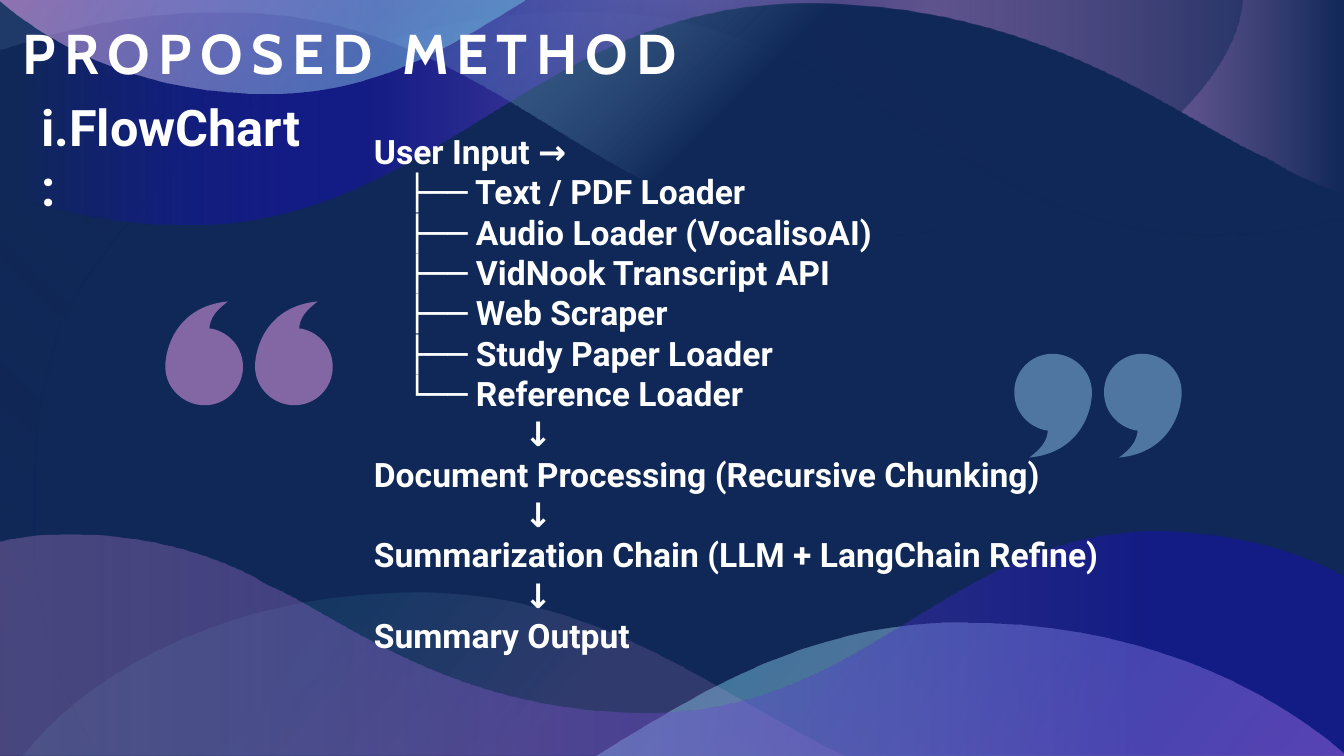
from dataclasses import dataclass

from lxml.etree import SubElement
from pptx import Presentation
from pptx.dml.color import RGBColor
from pptx.enum.text import MSO_ANCHOR, MSO_AUTO_SIZE, PP_ALIGN
from pptx.oxml.ns import qn
from pptx.util import Inches, Pt


@dataclass(frozen=True)
class Theme:
    navy: str = "102857"
    pink: str = "F6A6F4"
    cyan: str = "64DFED"
    sky: str = "92CDF0"
    blue: str = "180DC2"
    white: str = "FFFFFF"
    title_font: str = "Cabin"
    body_font: str = "Roboto"
    title_size: int = 40
    heading_size: int = 36
    body_size: int = 24


THEME = Theme()

BOTTOM_RIGHT_WAVE = [
    (9.52, 6.18), (11.2, 6.17, 12.52, 6.77, 13.34, 7.48), (13.36, 7.5), (5.9, 7.5),
    (6.26, 7.28), (7.22, 6.7, 8.21, 6.19, 9.52, 6.18),
]
TOP_VEIL = [
    (8.42, 2.34), (10.7, 2.35, 12.14, 0.99, 12.3, 0.13), (12.32, 0), (0, 0), (0, 0.5),
    (0.23, 0.43), (0.83, 0.24, 1.53, 0.11, 2.34, 0.13), (4.94, 0.17, 5.99, 2.33, 8.42, 2.34),
]
FRAME_VEIL = [
    (-0.02, 0), (13.34, 0), (13.34, 2.17), (13.16, 2.21), (12.8, 2.3, 12.4, 2.34, 11.97, 2.34),
    (9.54, 2.33, 8.49, 0.17, 5.9, 0.13), (5.29, 0.12, 4.75, 0.18, 4.26, 0.3), (4.05, 0.35),
    (3.29, 0.58, 2.55, 0.92, 1.85, 1.59), (1.39, 2.04, 1.03, 2.5, 0.75, 2.95),
    (0.62, 3.21, 0.57, 3.3, 0.51, 3.58), (0.45, 3.83, 0.39, 3.98, 0.37, 4.36), (0.35, 4.7),
    (0.35, 5.52), (0.4, 6.2, 0.6, 6.77, 0.86, 7.29), (0.97, 7.5), (-0.02, 7.5),
    (-0.02, 3.06), (-0.03, 3.06), (-0.03, 2.21), (-0.02, 2.21),
]
BOTTOM_LEFT_HILL = [
    (4.18, 5.88), (5.85, 5.89, 6.93, 6.75, 8.2, 7.41), (8.39, 7.5), (0.22, 7.5),
    (0.34, 7.36), (0.99, 6.62, 2.34, 5.87, 4.18, 5.88),
]
BOTTOM_WAVE = [
    (11.43, 5.27), (12.17, 5.27, 12.8, 5.44, 13.29, 5.7), (13.34, 5.73), (13.34, 7.5),
    (-0.03, 7.5), (-0.03, 5.38), (0.05, 5.36), (0.24, 5.32, 0.44, 5.3, 0.66, 5.3),
    (1.4, 5.29, 2.03, 5.47, 2.52, 5.72), (2.65, 5.8), (2.7, 5.82),
    (3.38, 6.12, 4.53, 7.1, 6.5, 7.07), (8.6, 7.03, 9.45, 5.28, 11.43, 5.27),
]
TOP_WAVE = [
    (0, 0), (13.33, 0), (13.33, 1.92), (13.24, 1.89), (13.06, 1.83, 12.9, 1.76, 12.75, 1.68),
    (12.6, 1.59), (12.54, 1.56), (11.71, 1.2, 10.3, 0, 7.9, 0.04),
    (5.34, 0.08, 4.3, 2.21, 1.9, 2.23), (1.22, 2.23, 0.62, 2.11, 0.11, 1.92), (0, 1.88),
]
TOP_LEFT_HILL = [
    (2.68, 0.93), (1.5, 0.93, 0.59, 0.52, 0.01, 0.02), (0, 0.01), (5.2, 0.01),
    (4.95, 0.16), (4.28, 0.57, 3.59, 0.92, 2.68, 0.93),
]
QUOTE_MARK = [
    (0.38, 0), (0.59, 0, 0.77, 0.17, 0.77, 0.38), (0.77, 0.39),
    (0.77, 0.56, 0.66, 0.98, 0.15, 1.03), (0.21, 0.98, 0.31, 0.91, 0.33, 0.79),
    (0.33, 0.76), (0.31, 0.76), (0.13, 0.72, 0, 0.57, 0, 0.38), (0, 0.17, 0.17, 0, 0.38, 0),
]
VEIL_STOPS = [(43, THEME.navy, 50), (73, THEME.sky, 11)]
GLOW_STOPS = [(0, THEME.cyan, 43), (100, THEME.pink, 53)]

WAVES = [
    (BOTTOM_RIGHT_WAVE, GLOW_STOPS, {"angle": 40}),
    (TOP_VEIL, VEIL_STOPS, {"focus": (100, 100, 0, 0)}),
    (FRAME_VEIL, [(0, THEME.navy, 60), (77, THEME.navy, 29)], {"focus": (0, 100, 100, 0)}),
    (BOTTOM_LEFT_HILL, [(33, THEME.pink, 14), (66, THEME.cyan, 8)], {"angle": 220}),
    (BOTTOM_WAVE, [(0, THEME.pink, 24), (85, THEME.blue, 42)], {"angle": 0}),
    (TOP_WAVE, [(0, THEME.navy, 100), (31, THEME.pink, 69), (73, THEME.blue, 42),
                (99, THEME.navy, 100)], {"angle": 180}),
    (TOP_VEIL, VEIL_STOPS, {"focus": (100, 100, 0, 0)}),
    (TOP_LEFT_HILL, GLOW_STOPS, {"angle": 220}),
]

LOADERS = [
    "Text / PDF Loader", "Audio Loader (VocalisoAI)", "VidNook Transcript API",
    "Web Scraper", "Study Paper Loader", "Reference Loader",
]
STAGES = [
    "Document Processing (Recursive Chunking)",
    "Summarization Chain (LLM + LangChain Refine)",
    "Summary Output",
]
BRANCH_INDENT = 0.33
ARROW_INDENT = 1.49


def add_outline(slide, outline, left=0, top=0):
    segments = [tuple(map(Inches, segment)) for segment in outline]
    anchors = [segment[-2:] for segment in segments]
    builder = slide.shapes.build_freeform(*anchors[0])
    builder.add_line_segments(anchors[1:], close=True)
    sp = builder.convert_to_shape(Inches(left), Inches(top))
    bend_segments(sp, segments, min(x for x, y in anchors), min(y for x, y in anchors))
    sp.shadow.inherit = False
    sp.line.fill.background()
    return sp


def bend_segments(sp, segments, left, top):
    track = next(sp.element.spPr.iter(qn("a:path")))
    for line, segment in zip(track.findall(qn("a:lnTo")), segments[1:]):
        if len(segment) == 2:
            continue
        curve = SubElement(track, qn("a:cubicBezTo"))
        for x, y in zip(segment[::2], segment[1::2]):
            SubElement(curve, qn("a:pt"), x=str(x - left), y=str(y - top))
        track.replace(line, curve)


def add_color(parent, color, opacity):
    clr = SubElement(parent, qn("a:srgbClr"), val=color)
    SubElement(clr, qn("a:alpha"), val=str(opacity * 1000))


def add_wave(slide, outline, stops, angle=0, focus=None):
    sp = add_outline(slide, outline)
    sp.fill.gradient()
    grad = sp.element.spPr.find(qn("a:gradFill"))
    for child in list(grad):
        grad.remove(child)
    stop_list = SubElement(grad, qn("a:gsLst"))
    for position, color, opacity in stops:
        stop = SubElement(stop_list, qn("a:gs"), pos=str(position * 1000))
        add_color(stop, color, opacity)
    if focus:
        circle = SubElement(grad, qn("a:path"), path="circle")
        sides = {side: str(value * 1000) for side, value in zip("ltrb", focus)}
        SubElement(circle, qn("a:fillToRect"), **sides)
    else:
        SubElement(grad, qn("a:lin"), ang=str(angle * 60000), scaled="0")


def add_quote(slide, left, top, color, opacity, rotation=0):
    for offset in (0, 0.89):
        sp = add_outline(slide, QUOTE_MARK, left + offset, top)
        sp.rotation = rotation
        sp.fill.solid()
        solid = sp.element.spPr.find(qn("a:solidFill"))
        solid.clear()
        add_color(solid, color, opacity)


def write(p, text, *, font=THEME.body_font, size=THEME.body_size, color=THEME.white,
          align=PP_ALIGN.LEFT, indent=0, spacing=0):
    p.alignment = align
    if indent:
        p_pr = p._p.get_or_add_pPr()
        p_pr.set("marL", str(Inches(indent)))
        p_pr.set("indent", "0")
    r = p.add_run()
    r.text = text
    r.font.name = font
    r.font.size = Pt(size)
    r.font.bold = True
    r.font.color.rgb = RGBColor.from_string(color)
    if spacing:
        r._r.get_or_add_rPr().set("spc", str(spacing * 100))


def add_text(slide, box, lines, **style):
    tf = slide.shapes.add_textbox(*map(Inches, box)).text_frame
    tf.word_wrap = True
    tf.auto_size = MSO_AUTO_SIZE.SHAPE_TO_FIT_TEXT
    for i, (text, indent) in enumerate(lines):
        p = tf.add_paragraph() if i else tf.paragraphs[0]
        write(p, text, indent=indent, **style)


def place_title(slide, text):
    title = slide.shapes.title
    title.left, title.top, title.width, title.height = map(Inches, (-0.77, 0.12, 8.49, 0.8))
    slide.shapes.element.append(title.element)
    tf = title.text_frame
    tf.word_wrap = True
    tf.auto_size = MSO_AUTO_SIZE.NONE
    tf.vertical_anchor = MSO_ANCHOR.MIDDLE
    write(tf.paragraphs[0], text, font=THEME.title_font, size=THEME.title_size,
          align=PP_ALIGN.CENTER, spacing=6)


def flow_lines():
    lines = [("User Input →", 0)]
    for loader in LOADERS:
        branch = "└──" if loader == LOADERS[-1] else "├──"
        lines.append((f"{branch} {loader}", BRANCH_INDENT))
    for stage in STAGES:
        lines += [("↓", ARROW_INDENT), (stage, 0)]
    return lines


def main():
    prs = Presentation()
    prs.slide_width, prs.slide_height = Inches(13.33), Inches(7.5)
    slide = prs.slides.add_slide(prs.slide_layouts[5])
    slide.background.fill.solid()
    slide.background.fill.fore_color.rgb = RGBColor.from_string(THEME.navy)
    for outline, stops, direction in WAVES:
        add_wave(slide, outline, stops, **direction)
    add_quote(slide, 1.64, 2.99, THEME.pink, 50, rotation=180)
    add_quote(slide, 10.06, 3.51, THEME.sky, 48)
    place_title(slide, "PROPOSED METHOD")
    add_text(slide, (3.61, 1.25, 7.49, 5.35), flow_lines())
    add_text(slide, (0.31, 0.9, 2.8, 0.71), [("i.FlowChart :", 0)], size=THEME.heading_size)
    prs.save("out.pptx")


if __name__ == "__main__":
    main()
